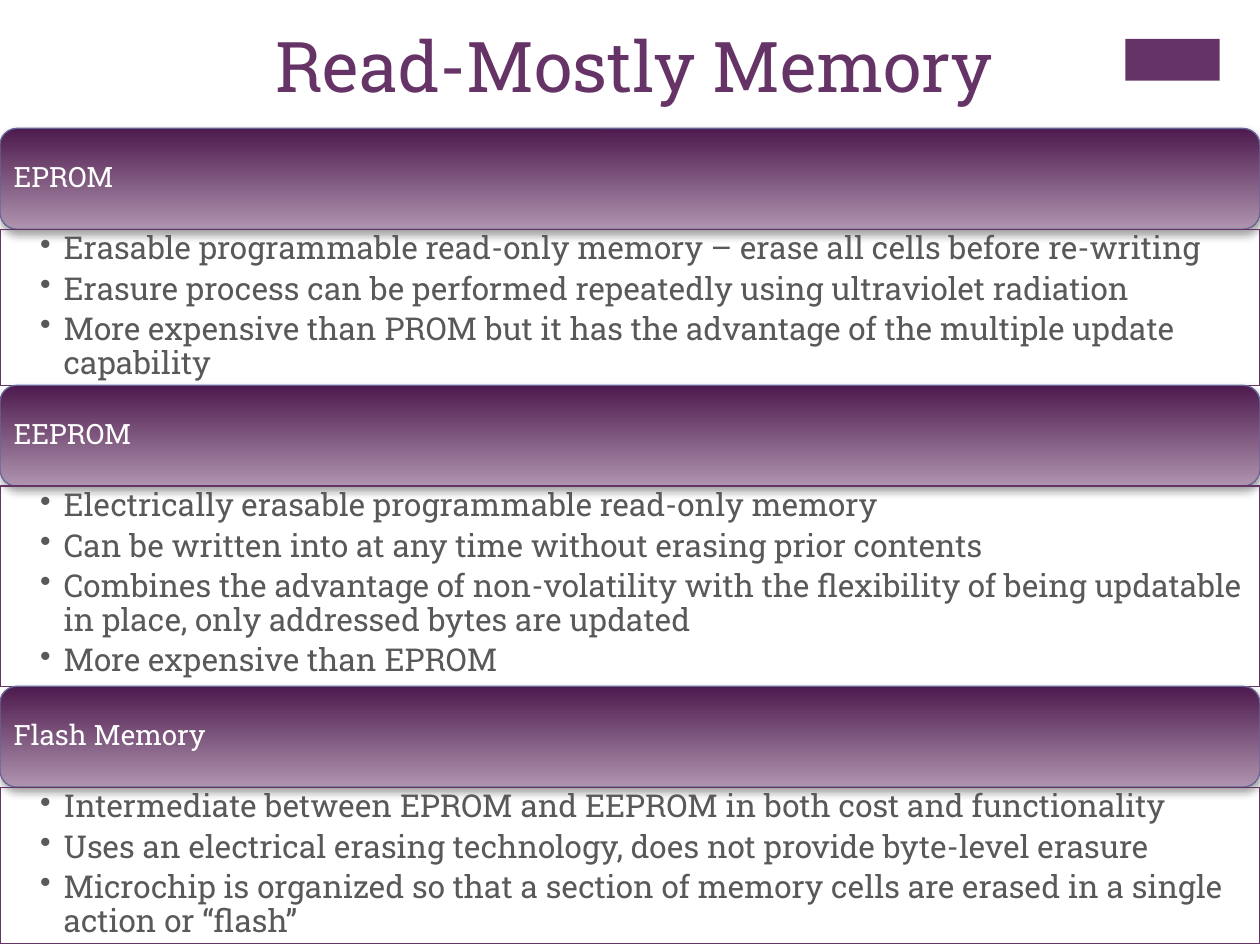
from lxml import etree
from pptx import Presentation
from pptx.dml.color import RGBColor
from pptx.enum import shapes, text
from pptx.oxml import ns
from pptx.util import Pt

TITLE = "Read-Mostly Memory"
SECTIONS = [
    ("EPROM", 89.2, [
        "Erasable programmable read-only memory – erase all cells before re-writing",
        "Erasure process can be performed repeatedly using ultraviolet radiation",
        "More expensive than PROM but it has the advantage of the multiple update capability",
    ]),
    ("EEPROM", 114.4, [
        "Electrically erasable programmable read-only memory",
        "Can be written into at any time without erasing prior contents",
        "Combines the advantage of non-volatility with the flexibility of being updatable in place, only addressed bytes are updated",
        "More expensive than EPROM",
    ]),
    ("Flash Memory", 89.2, [
        "Intermediate between EPROM and EEPROM in both cost and functionality",
        "Uses an electrical erasing technology, does not provide byte-level erasure",
        "Microchip is organized so that a section of memory cells are erased in a single action or “flash”",
    ]),
]
COLORS = {
    "purple": "663366", "dark": "4D1A4D", "light": "AF94AF", "edge": "666699",
    "shadow": "808080", "white": "FFFFFF", "body": "595959",
}
FONT = "Roboto Slab"
WIDTH, HEIGHT = 720, 540
TOP, HEADER_HEIGHT = 73.4, 57.6


def rgb(name):
    return RGBColor.from_string(COLORS[name])


def add_box(s, kind, left, top, width, height, line=None):
    sp = s.shapes.add_shape(kind, Pt(left), Pt(top), Pt(width), Pt(height))
    sp.shadow.inherit = False
    if line:
        sp.line.color.rgb = rgb(line)
        sp.line.width = Pt(0.75)
    else:
        sp.line.fill.background()
    return sp


def add_shadow(sp):
    effects = sp._element.spPr.find(ns.qn("a:effectLst"))
    shadow = etree.SubElement(effects, ns.qn("a:outerShdw"), blurRad=str(Pt(5)),
                              dist=str(Pt(2)), dir="5400000", rotWithShape="0")
    color = etree.SubElement(shadow, ns.qn("a:srgbClr"), val=COLORS["shadow"])
    etree.SubElement(color, ns.qn("a:alpha"), val="75000")


def write(sp, lines, size, color, align=text.PP_ALIGN.LEFT, anchor=text.MSO_ANCHOR.TOP,
          insets=(7.2, 3.6, 7.2, 3.6), spacing=1, after=0, bullet=False):
    tf = sp.text_frame
    tf.word_wrap = True
    tf.auto_size = text.MSO_AUTO_SIZE.NONE
    tf.vertical_anchor = anchor
    tf.margin_left, tf.margin_top, tf.margin_right, tf.margin_bottom = map(Pt, insets)
    for i, line in enumerate(lines):
        p = tf.add_paragraph() if i else tf.paragraphs[0]
        if bullet:
            p.level = 1
            pPr = p._p.get_or_add_pPr()
            pPr.set("marL", str(Pt(13.5)))
            pPr.set("indent", str(-Pt(13.5)))
            etree.SubElement(pPr, ns.qn("a:buChar"), char="•")
        p.alignment = align
        p.line_spacing = spacing
        p.space_after = Pt(after)
        r = p.add_run()
        r.text = line
        r.font.size = Pt(size)
        r.font.name = FONT
        r.font.color.rgb = rgb(color)


def add_section(s, top, heading, height, points):
    header = add_box(s, shapes.MSO_SHAPE.ROUNDED_RECTANGLE, 0, top, WIDTH, HEADER_HEIGHT, "edge")
    header.fill.gradient()
    header.fill.gradient_angle = 270
    for stop, color in zip(header.fill.gradient_stops, ("dark", "light")):
        stop.color.rgb = rgb(color)
    add_shadow(header)
    write(header, [heading], 16, "white", anchor=text.MSO_ANCHOR.MIDDLE,
          insets=(5, 5, 5, 5), spacing=0.9)

    body = add_box(s, shapes.MSO_SHAPE.RECTANGLE, 0, top + HEADER_HEIGHT, WIDTH, height, "purple")
    body.fill.background()
    write(body, points, 18, "body", insets=(22.9, 2, 10, 2), spacing=0.9, after=3.6, bullet=True)


def main():
    prs = Presentation()
    prs.slide_width, prs.slide_height = Pt(WIDTH), Pt(HEIGHT)
    s = prs.slides.add_slide(prs.slide_layouts[5])

    title = s.shapes.title
    title.left, title.top, title.width, title.height = Pt(2.2), Pt(9.4), Pt(WIDTH), Pt(78.5)
    write(title, [TITLE], 40, "purple", align=text.PP_ALIGN.CENTER)

    accent = add_box(s, shapes.MSO_SHAPE.RECTANGLE, 643, 22.3, 54, 23.8)
    accent.fill.solid()
    accent.fill.fore_color.rgb = rgb("purple")

    top = TOP
    for heading, height, points in SECTIONS:
        add_section(s, top, heading, height, points)
        top += HEADER_HEIGHT + height

    prs.save("out.pptx")


if __name__ == "__main__":
    main()
